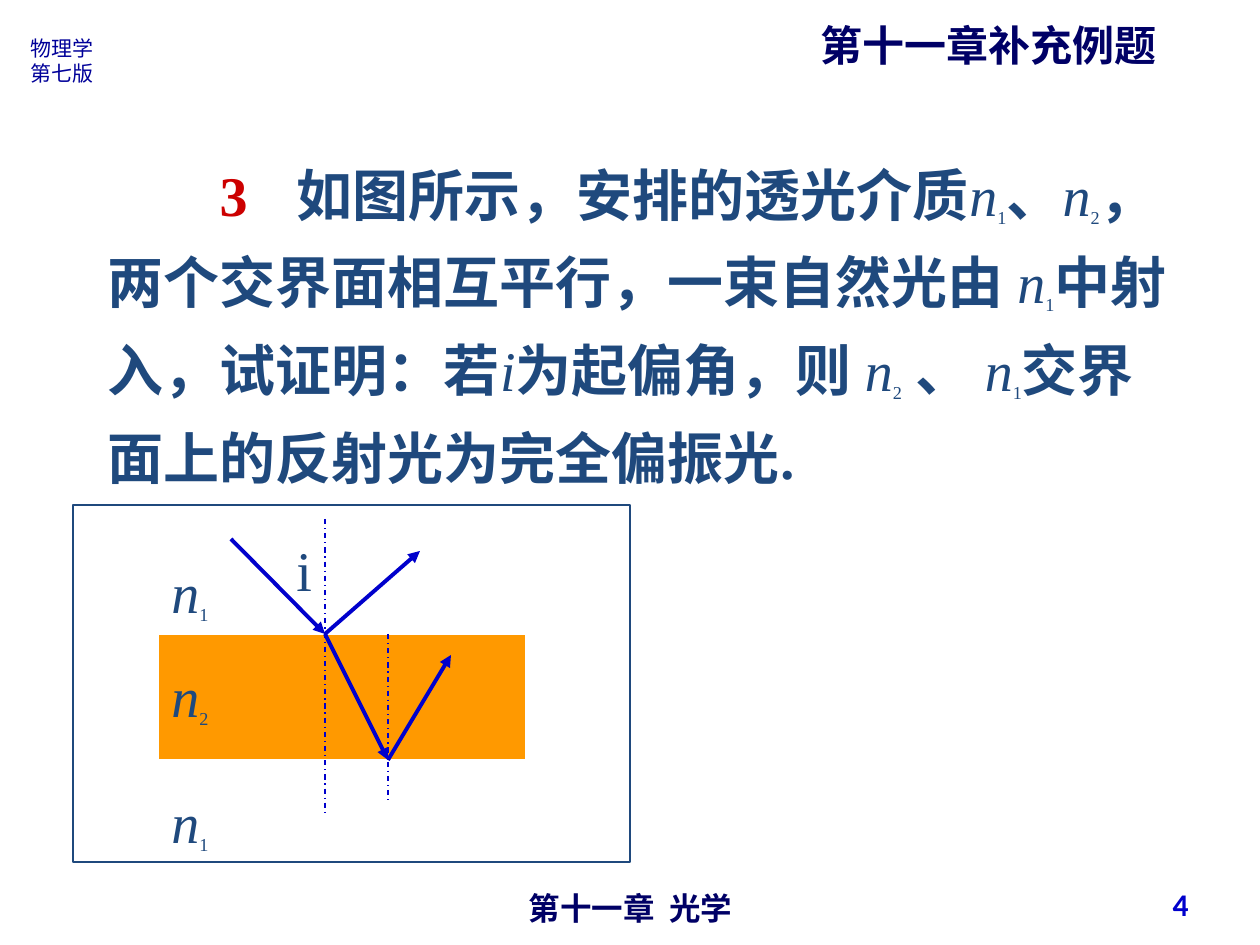
from dataclasses import dataclass

from lxml import etree
from pptx import Presentation
from pptx.dml.color import RGBColor
from pptx.enum.dml import MSO_LINE
from pptx.enum.shapes import MSO_CONNECTOR, MSO_SHAPE
from pptx.enum.text import MSO_ANCHOR, MSO_AUTO_SIZE, PP_ALIGN
from pptx.oxml.ns import qn
from pptx.util import Emu, Pt

EMU_PER_PX = 914400 / 126
LEFT, CENTER, RIGHT = PP_ALIGN.LEFT, PP_ALIGN.CENTER, PP_ALIGN.RIGHT
TOP, MIDDLE = MSO_ANCHOR.TOP, MSO_ANCHOR.MIDDLE
NO_FIT = MSO_AUTO_SIZE.NONE
STRAIGHT = MSO_CONNECTOR.STRAIGHT
DASH_DOT = MSO_LINE.DASH_DOT
RECTANGLE = MSO_SHAPE.RECTANGLE
SERIF, SANS, CJK, NUMERAL = "Times New Roman", "Arial", "Noto Sans CJK SC", "Calibri"
COLORS = {
    "navy": "000066",
    "mark": "000099",
    "ray": "0000CC",
    "text": "1F497D",
    "number": "CC0000",
    "slab": "FF9900",
    "white": "FFFFFF",
}


@dataclass(frozen=True)
class Box:
    x: int
    y: int
    w: int
    h: int


@dataclass(frozen=True)
class Run:
    text: str
    size: int = 32
    color: str = "text"
    font: str = SERIF
    bold: bool = False
    italic: bool = False
    sub: bool = False


@dataclass(frozen=True)
class Line:
    x1: int
    y1: int
    x2: int
    y2: int
    is_ray: bool = True


def px(n: int) -> Emu:
    return Emu(round(n * EMU_PER_PX))


def rgb(name: str) -> RGBColor:
    return RGBColor.from_string(COLORS[name])


def place(sp, box: Box) -> None:
    sp.left, sp.top, sp.width, sp.height = map(px, (box.x, box.y, box.w, box.h))


def add_run(p, run: Run) -> None:
    r = p.add_run()
    r.text = run.text
    r.font.name = run.font
    r.font.size = Pt(run.size)
    r.font.bold = run.bold
    r.font.italic = run.italic
    r.font.color.rgb = rgb(run.color)
    rPr = r._r.get_or_add_rPr()
    rPr.set("lang", "zh-CN")
    if run.sub:
        rPr.set("baseline", "-25000")
    ea = etree.Element(qn("a:ea"), typeface=CJK)
    rPr.find(qn("a:latin")).addnext(ea)


def write(sp, paragraphs: list[list[Run]], align=LEFT, anchor=TOP,
          wrap: bool = True, spacing=None) -> None:
    tf = sp.text_frame
    tf.auto_size = NO_FIT
    tf.word_wrap = wrap
    tf.vertical_anchor = anchor
    for i, runs in enumerate(paragraphs):
        p = tf.paragraphs[0] if i == 0 else tf.add_paragraph()
        p.alignment = align
        p.space_before = Pt(0)
        if spacing:
            p.line_spacing = Pt(spacing)
        for run in runs:
            add_run(p, run)


def add_text(slide, box: Box, paragraphs: list[list[Run]], **style) -> None:
    sp = slide.shapes.add_textbox(*map(px, (box.x, box.y, box.w, box.h)))
    write(sp, paragraphs, **style)


def add_rect(slide, box: Box, fill: str, line: str) -> None:
    sp = slide.shapes.add_shape(RECTANGLE, *map(px, (box.x, box.y, box.w, box.h)))
    sp.shadow.inherit = False
    sp.fill.solid()
    sp.fill.fore_color.rgb = rgb(fill)
    sp.line.color.rgb = rgb(line)
    sp.line.width = Pt(0.75)


def add_line(slide, line: Line) -> None:
    cxn = slide.shapes.add_connector(
        STRAIGHT, px(line.x1), px(line.y1), px(line.x2), px(line.y2))
    cxn.line.color.rgb = rgb("ray")
    cxn.line.width = Pt(2.25 if line.is_ray else 0.75)
    if line.is_ray:
        etree.SubElement(cxn.line._get_or_add_ln(), qn("a:tailEnd"), type="triangle")
    else:
        cxn.line.dash_style = DASH_DOT
    etree.SubElement(cxn._element.spPr, qn("a:effectLst"))


def index(n: int) -> list[Run]:
    return [Run("n", italic=True), Run(str(n), size=18, sub=True)]


def bold(text: str) -> Run:
    return Run(text, bold=True)


def add_problem(body) -> None:
    place(body, Box(95, 134, 1092, 363))
    pPr = body.text_frame.paragraphs[0]._p.get_or_add_pPr()
    pPr.set("marL", "0")
    pPr.set("indent", str(Pt(64)))
    etree.SubElement(pPr, qn("a:buNone"))
    tabs = etree.SubElement(pPr, qn("a:tabLst"))
    etree.SubElement(tabs, qn("a:tab"), pos=str(px(179)), algn="l")
    write(body, [[
        Run("3\t", color="number", bold=True),
        bold("如图所示，安排的透光介质"), *index(1), bold("、"), *index(2),
        bold("，两个交界面相互平行，一束自然光由 "), *index(1),
        bold("中射入，试证明：若"), Run("i", italic=True),
        bold("为起偏角，则 "), *index(2), Run(" "), bold("、 "), *index(1),
        bold("交界面上的反射光为完全偏振光."),
    ]], spacing=50)


def add_diagram(slide) -> None:
    hit_x, exit_x, slab_top, slab_bottom = 325, 388, 634, 760
    add_rect(slide, Box(158, slab_top, 368, slab_bottom - slab_top), "slab", "white")
    for y, n in ((655, 2), (551, 1), (781, 1)):
        add_text(slide, Box(159, y, 62, 81), [index(n)], wrap=False)
    for line in (
        Line(231, 539, hit_x, slab_top),
        Line(hit_x, 519, hit_x, 813, is_ray=False),
        Line(hit_x, slab_top, 420, 551),
        Line(hit_x, slab_top, exit_x, slab_bottom),
        Line(exit_x, slab_top, exit_x, 803, is_ray=False),
        Line(exit_x, slab_bottom, 451, 655),
    ):
        add_line(slide, line)
    add_text(slide, Box(284, 529, 40, 81), [[Run("i")]], wrap=False)


def main() -> None:
    prs = Presentation()
    prs.slide_width, prs.slide_height = px(1260), px(945)
    slide = prs.slides.add_slide(prs.slide_layouts[1])
    title, body = slide.placeholders

    add_text(slide, Box(431, 882, 399, 37),
             [[Run("第十一章  光学", 18, "navy", SANS, bold=True)]],
             align=CENTER, spacing=22)
    add_text(slide, Box(18, 29, 91, 63),
             [[Run(text, 12, "mark", CJK)] for text in ("物理学", "第七版")],
             spacing=14.4)
    place(title, Box(808, 13, 426, 63))
    write(title, [[Run("第十一章补充例题", 24, "navy", CJK, bold=True)]], spacing=29)
    add_text(slide, Box(907, 879, 294, 50),
             [[Run("4", 18, "ray", NUMERAL, bold=True)]],
             align=RIGHT, anchor=MIDDLE)
    add_rect(slide, Box(73, 505, 557, 357), "white", "text")
    add_problem(body)
    add_diagram(slide)
    prs.save("out.pptx")


if __name__ == "__main__":
    main()
